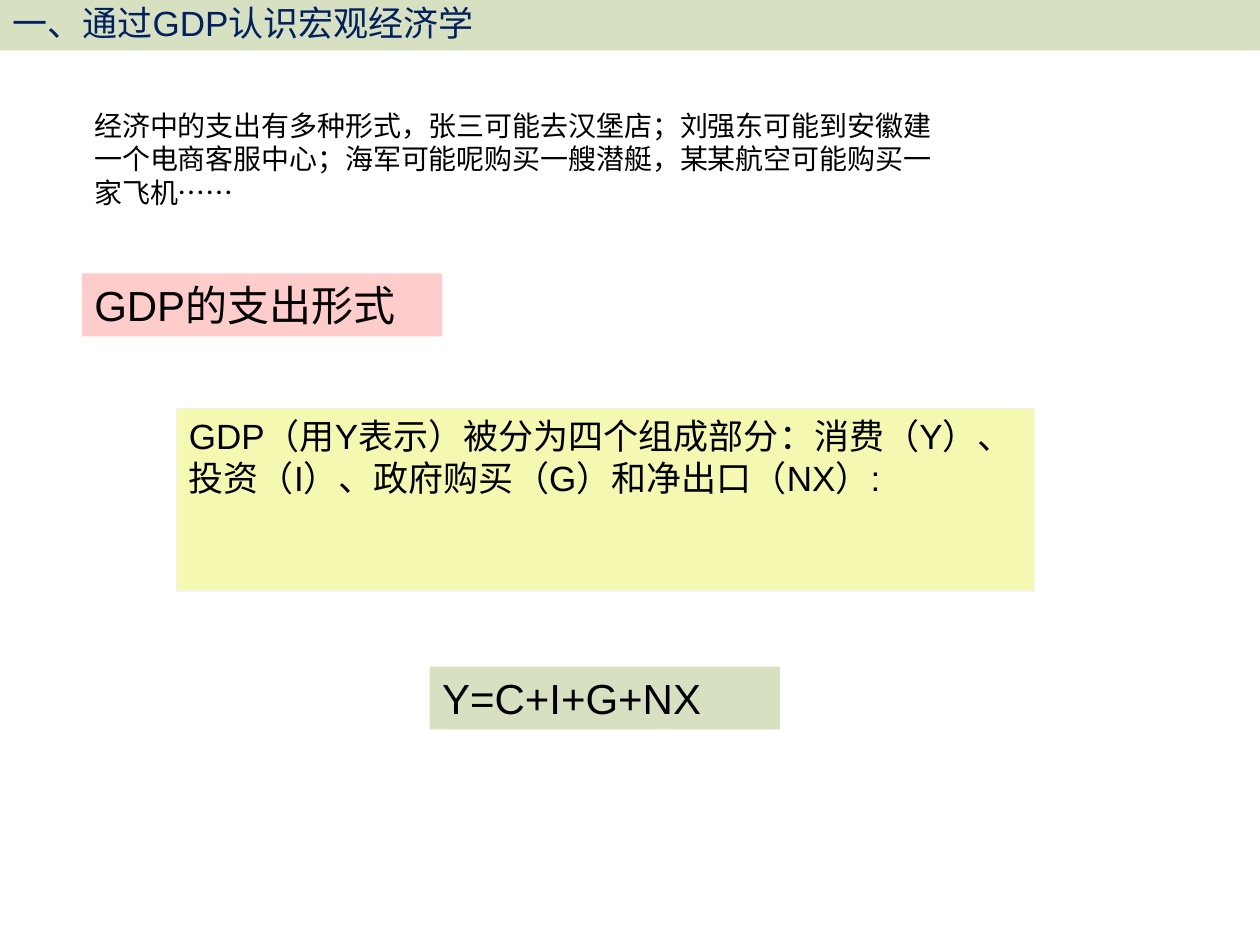
from dataclasses import dataclass

from pptx import Presentation
from pptx.dml.color import RGBColor
from pptx.enum.shapes import MSO_SHAPE as Shape
from pptx.enum.text import MSO_ANCHOR as Anchor, PP_ALIGN as Align
from pptx.slide import Slide
from pptx.util import Inches, Pt


def color(hex_string):
    return RGBColor.from_string(hex_string)


def write(frame, text, size=20, ink="000000", font="Arial"):
    frame.word_wrap = True
    frame.vertical_anchor = Anchor.TOP
    paragraph = frame.paragraphs[0]
    paragraph.alignment = Align.LEFT
    run = paragraph.add_run()
    run.text = text
    run.font.name = font
    run.font.size = Pt(size)
    run.font.color.rgb = color(ink)


@dataclass
class Builder:
    """Draws the elements of a slide in one shared style."""

    slide: Slide
    font: str = "Arial"
    green: str = "D7E1C1"
    pink: str = "FFCCCC"
    yellow: str = "F5F8B1"
    border: str = "F2F2F2"
    navy: str = "002060"

    def panel(self, text, left, top, width, height, fill, line=None, **style):
        shape = self.slide.shapes.add_shape(
            Shape.RECTANGLE, Inches(left), Inches(top), Inches(width), Inches(height)
        )
        shape.shadow.inherit = False
        shape.fill.solid()
        shape.fill.fore_color.rgb = color(fill)
        if line:
            shape.line.color.rgb = color(line)
            shape.line.width = Pt(0.75)
        else:
            shape.line.fill.background()
        write(shape.text_frame, text, font=self.font, **style)

    def text(self, text, left, top, width, height, **style):
        box = self.slide.shapes.add_textbox(
            Inches(left), Inches(top), Inches(width), Inches(height)
        )
        write(box.text_frame, text, font=self.font, **style)


def main():
    presentation = Presentation()
    presentation.slide_width = Inches(10)
    presentation.slide_height = Inches(7.5)
    builder = Builder(presentation.slides.add_slide(presentation.slide_layouts[6]))

    builder.panel("一、通过GDP认识宏观经济学", 0, -0.04, 10, 0.44,
                  builder.green, ink=builder.navy)
    builder.panel("GDP的支出形式", 0.65, 2.17, 2.86, 0.5, builder.pink, size=24)
    builder.panel(
        "GDP（用Y表示）被分为四个组成部分：消费（Y）、投资（I）、政府购买（G）和净出口（NX）:",
        1.4, 3.24, 6.81, 1.45, builder.yellow, line=builder.border,
    )
    builder.panel("Y=C+I+G+NX", 3.41, 5.29, 2.78, 0.5, builder.green, size=24)
    builder.text(
        "经济中的支出有多种形式，张三可能去汉堡店；刘强东可能到安徽建一个电商客服中心；"
        "海军可能呢购买一艘潜艇，某某航空可能购买一家飞机……",
        0.65, 0.81, 7.03, 0.91, size=16,
    )
    presentation.save("out.pptx")


if __name__ == "__main__":
    main()
